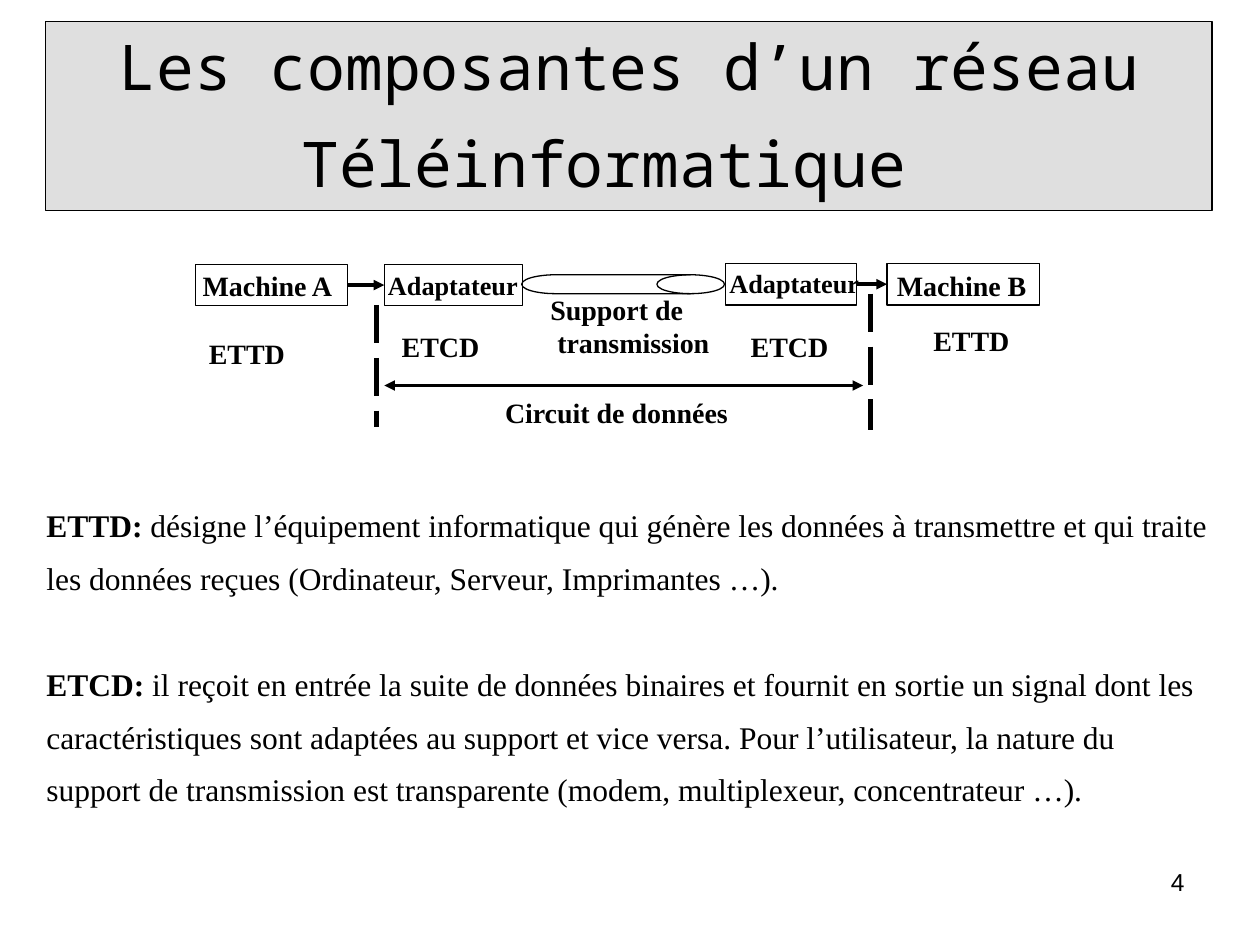
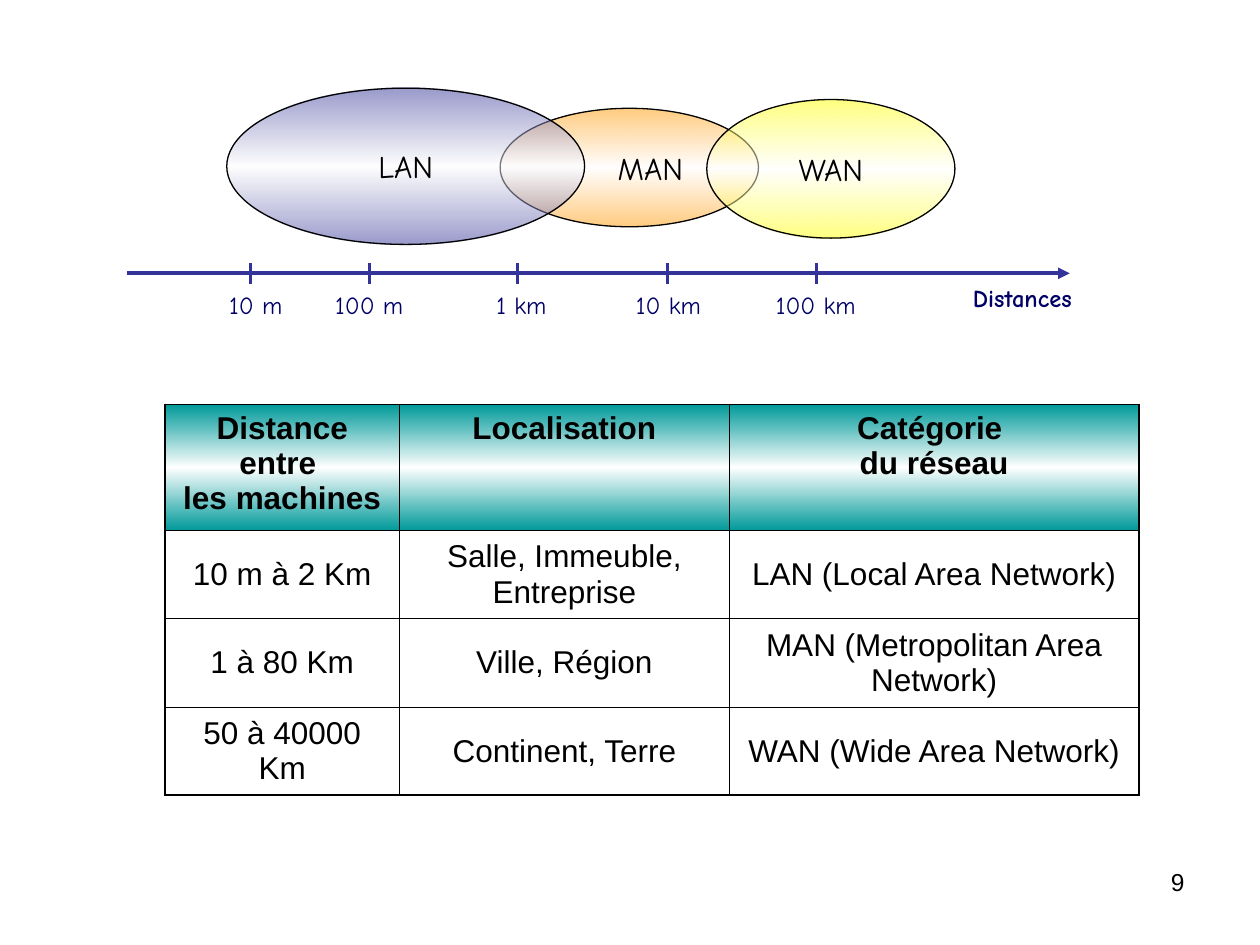
"""Build two slides on the components and the categories of computer networks."""
from dataclasses import dataclass

from pptx import Presentation
from pptx import util as u
from pptx.dml.color import RGBColor
from pptx.enum import dml, shapes, text
from pptx.oxml import parse_xml
from pptx.oxml.ns import nsdecls, qn

Pt = u.Pt
COLORS = {
    "ink": "000000", "paper": "FFFFFF", "banner": "808080", "header": "009999",
    "lan": "333399", "man": "FF9900", "wan": "FFFF00",
    "axis": "333399", "distance": "000066",
}
SANS, SERIF, MONO, COMIC = "Arial", "Times New Roman", "Noto Sans Mono", "Comic Neue"
LEFT, CENTER, RIGHT = text.PP_ALIGN.LEFT, text.PP_ALIGN.CENTER, text.PP_ALIGN.RIGHT


@dataclass(frozen=True)
class Box:
    left: float
    top: float
    width: float
    height: float

    def points(self) -> list:
        return [Pt(value) for value in (self.left, self.top, self.width, self.height)]


@dataclass(frozen=True)
class Style:
    font: str
    size: float
    bold: bool = False
    color: str = "ink"
    align: text.PP_ALIGN = LEFT


@dataclass(frozen=True)
class Label:
    words: str
    box: Box
    style: Style


@dataclass(frozen=True)
class Line:
    start: tuple
    end: tuple
    width: float
    color: str = "ink"
    dashed: bool = False
    head: bool = False
    tail: bool = False


@dataclass(frozen=True)
class Network:
    name: str
    box: Box
    color: str
    text_shift: float = 0


@dataclass(frozen=True)
class Tick:
    distance: str
    x: float
    label_center: float


NUMBER = Style(SANS, 14, align=RIGHT)
TITLE = Style(MONO, 36, align=CENTER)
BODY = Style(SERIF, 18)
DIAGRAM = Style(SERIF, 16, bold=True)
ADAPTER = Style(SERIF, 15, bold=True)
NETWORK = Style(COMIC, 18, align=CENTER)
DISTANCE = Style(COMIC, 14, color="distance", align=CENTER)
AXIS_NAME = Style(COMIC, 14, bold=True, color="distance", align=CENTER)
CELL = Style(SANS, 18, align=CENTER)
HEADER = Style(SANS, 18, bold=True, align=CENTER)

DIAGRAM_LABELS = [
    Label("Machine A", Box(108.7, 149.8, 93, 26.6), DIAGRAM),
    Label("Adaptateur", Box(214.6, 150.5, 93, 25.2), ADAPTER),
    Label("Adaptateur", Box(409.7, 149, 93, 25.2), ADAPTER),
    Label("Machine B", Box(505.4, 149.8, 93, 26.6), DIAGRAM),
    Label("ETTD", Box(112.3, 188.6, 64, 26.6), DIAGRAM),
    Label("ETCD", Box(222.5, 185, 64, 26.6), DIAGRAM),
    Label("ETCD", Box(421.9, 185, 64, 26.6), DIAGRAM),
    Label("ETTD", Box(526.3, 181.4, 64, 26.6), DIAGRAM),
    Label("Circuit de données", Box(281.5, 222.5, 146, 26.6), DIAGRAM),
]
SUPPORT = Label("Support de\ntransmission", Box(307.4, 163.4, 110, 46.1), DIAGRAM)
MACHINE_A, ADAPTER_A = Box(111.6, 151, 87.1, 23.8), Box(219.6, 151, 79.2, 23.8)
ADAPTER_B, MACHINE_B = Box(414.7, 150.5, 74.9, 23.8), Box(506.9, 150.5, 87.1, 23.8)
CIRCUIT_LINES = [
    Line((215.3, 174.2), (215.3, 244.1), 2.75, dashed=True),
    Line((497.5, 167.8), (497.5, 245.5), 2.75, dashed=True),
    Line((219.6, 220.3), (493.2, 220.3), 2, head=True, tail=True),
]
DEFINITIONS = [
    ("ETTD:", " désigne l’équipement informatique qui génère les données à transmettre "
     "et qui traite les données reçues (Ordinateur, Serveur, Imprimantes …)."),
    ("ETCD:", " il reçoit en entrée la suite de données binaires et fournit en sortie un "
     "signal dont les caractéristiques sont adaptées au support et vice versa. Pour "
     "l’utilisateur, la nature du support de transmission est transparente (modem, "
     "multiplexeur, concentrateur …)."),
]
NETWORKS = [
    Network("MAN", Box(285.8, 61.9, 147.6, 67.7), "man", 24),
    Network("LAN", Box(129.6, 50.4, 204.5, 89.3), "lan"),
    Network("WAN", Box(403.9, 56.9, 141.8, 79.2), "wan"),
]
TICKS = [
    Tick("10 m", 143.3, 146.2), Tick("100 m", 211, 211), Tick("1 km", 295.9, 298),
    Tick("10 km", 381.6, 382), Tick("100 km", 466.6, 466.2),
]
AXIS_Y = 156.2
COLUMN_WIDTHS = [133.9, 188.6, 234]
ROW_HEIGHTS = [72, 50.4, 50.4, 50.4]
CATEGORIES = [
    ["Distance entre \vles machines", "Localisation", "Catégorie \vdu réseau"],
    ["10 m à 2 Km", "Salle, Immeuble, Entreprise", "LAN (Local Area Network)"],
    ["1 à 80 Km", "Ville, Région", "MAN (Metropolitan Area Network)"],
    ["50 à 40000 Km", "Continent, Terre", "WAN (Wide Area Network)"],
]


def color_of(name: str) -> RGBColor:
    return RGBColor.from_string(COLORS[name])


def format_text(frame, style: Style) -> None:
    for paragraph in frame.paragraphs:
        paragraph.alignment = style.align
        for run in paragraph.runs:
            run.font.name = style.font
            run.font.size = Pt(style.size)
            run.font.bold = style.bold
            run.font.color.rgb = color_of(style.color)


def add_label(parent, label: Label, wrap: bool = False):
    frame = parent.add_textbox(*label.box.points()).text_frame
    frame.word_wrap = wrap
    frame.text = label.words
    format_text(frame, label.style)
    return frame


def add_outline(parent, kind: shapes.MSO_SHAPE, box: Box):
    shape = parent.add_shape(kind, *box.points())
    shape.shadow.inherit = False
    shape.fill.background()
    shape.line.color.rgb = color_of("ink")
    shape.line.width = Pt(0.75)
    return shape


def add_line(parent, line: Line):
    ends = [Pt(value) for value in (*line.start, *line.end)]
    connector = parent.add_connector(shapes.MSO_CONNECTOR.STRAIGHT, *ends)
    connector.line.color.rgb = color_of(line.color)
    connector.line.width = Pt(line.width)
    if line.dashed:
        connector.line.dash_style = dml.MSO_LINE.LONG_DASH
    properties = connector.line._get_or_add_ln()
    for tag, wanted in (("headEnd", line.head), ("tailEnd", line.tail)):
        if wanted:
            properties.append(parse_xml(f'<a:{tag} {nsdecls("a")} type="triangle"/>'))
    connector._element.spPr.append(parse_xml(f'<a:effectLst {nsdecls("a")}/>'))
    return connector


def add_arrow(parent, source, target) -> None:
    arrow = add_line(parent, Line((0, 0), (0, 0), 2, tail=True))
    arrow.begin_connect(source, 3)
    arrow.end_connect(target, 1)


def fill_gradient(fill, properties, color: str, opacity: int = 100) -> None:
    fill.gradient()
    fill.gradient_angle = 270
    stops = "".join(
        f'<a:gs pos="{position * 1000}"><a:srgbClr val="{COLORS[name]}">'
        f'<a:alpha val="{opacity * 1000}"/></a:srgbClr></a:gs>'
        for position, name in ((0, color), (50, "paper"), (100, color))
    )
    gradient = properties.find(qn("a:gradFill"))
    gradient.replace(gradient.find(qn("a:gsLst")),
                     parse_xml(f'<a:gsLst {nsdecls("a")}>{stops}</a:gsLst>'))


def add_slide(presentation, number: str):
    slide = presentation.slides.add_slide(presentation.slide_layouts[6])
    add_label(slide.shapes, Label(number, Box(516.2, 491.8, 167.8, 37.4), NUMBER), wrap=True)
    return slide


def add_title(slide, words: str) -> None:
    banner = add_outline(slide.shapes, shapes.MSO_SHAPE.RECTANGLE, Box(26, 12.2, 666.7, 108))
    banner.fill.solid()
    banner.fill.fore_color.rgb = color_of("banner")
    tint = banner._element.spPr.find(qn("a:solidFill"))[0]
    tint.append(parse_xml(f'<a:alpha {nsdecls("a")} val="25000"/>'))
    frame = banner.text_frame
    frame.vertical_anchor = text.MSO_ANCHOR.TOP
    frame.word_wrap = True
    frame.text = words
    frame.paragraphs[0].add_run().text = " "
    format_text(frame, TITLE)
    frame.paragraphs[0].runs[1].font.size = Pt(48)


def add_circuit(slide) -> None:
    parent = slide.shapes.add_group_shape().shapes
    for label in DIAGRAM_LABELS:
        add_label(parent, label)
    second_line = add_label(parent, SUPPORT).paragraphs[1]
    second_line._p.get_or_add_pPr().set("marL", str(Pt(4)))
    machine_a, adapter_a, adapter_b, machine_b = [
        add_outline(parent, shapes.MSO_SHAPE.RECTANGLE, box)
        for box in (MACHINE_A, ADAPTER_A, ADAPTER_B, MACHINE_B)
    ]
    add_arrow(parent, machine_a, adapter_a)
    add_arrow(parent, adapter_b, machine_b)
    add_outline(parent, shapes.MSO_SHAPE.FLOWCHART_DIRECT_ACCESS_STORAGE,
                Box(298.1, 157, 115.9, 10.8))
    for line in CIRCUIT_LINES:
        add_line(parent, line)


def add_definitions(slide) -> None:
    frame = slide.shapes.add_textbox(*Box(19.4, 277.2, 680.4, 188.6).points()).text_frame
    frame.word_wrap = True
    for index, (term, meaning) in enumerate(DEFINITIONS):
        paragraph = frame.add_paragraph() if index else frame.paragraphs[0]
        paragraph.line_spacing = 1.4
        if index:
            paragraph.space_before = Pt(30)
        for words in (term, meaning):
            paragraph.add_run().text = words
    format_text(frame, BODY)
    for paragraph in frame.paragraphs:
        paragraph.runs[0].font.bold = True


def add_network(slide, network: Network) -> None:
    ellipse = add_outline(slide.shapes, shapes.MSO_SHAPE.OVAL, network.box)
    fill_gradient(ellipse.fill, ellipse._element.spPr, network.color, 50)
    frame = ellipse.text_frame
    frame.word_wrap = False
    frame.margin_left = Pt(7.2 + network.text_shift)
    frame.text = network.name
    format_text(frame, NETWORK)


def add_scale(slide) -> None:
    add_line(slide.shapes, Line((72.7, AXIS_Y), (611.3, AXIS_Y), 2.25, "axis", tail=True))
    for tick in TICKS:
        add_line(slide.shapes, Line((tick.x, AXIS_Y - 5.8), (tick.x, AXIS_Y + 5.8), 1.5, "axis"))
        box = Box(tick.label_center - 30, 162, 60, 24.5)
        add_label(slide.shapes, Label(tick.distance, box, DISTANCE))
    add_label(slide.shapes, Label("Distances", Box(548.6, 158.4, 71.3, 24.5), AXIS_NAME))


def set_borders(cell, row: int, column: int) -> None:
    edges = {"lnL": column == 0, "lnR": column == len(COLUMN_WIDTHS) - 1,
             "lnT": row == 0, "lnB": row == len(ROW_HEIGHTS) - 1}
    for index, (tag, outer) in enumerate(edges.items()):
        width = Pt(1.08 if outer else 0.45)
        cell._tc.get_or_add_tcPr().insert(index, parse_xml(
            f'<a:{tag} {nsdecls("a")} w="{width}"><a:solidFill>'
            f'<a:srgbClr val="{COLORS["ink"]}"/></a:solidFill></a:{tag}>'))


def add_categories(slide) -> None:
    box = Box(94.3, 231.1, sum(COLUMN_WIDTHS), sum(ROW_HEIGHTS))
    table = slide.shapes.add_table(len(ROW_HEIGHTS), len(COLUMN_WIDTHS), *box.points()).table
    table.first_row = table.horz_banding = False
    for column, width in zip(table.columns, COLUMN_WIDTHS):
        column.width = Pt(width)
    for row, height in enumerate(ROW_HEIGHTS):
        table.rows[row].height = Pt(height)
        for column, words in enumerate(CATEGORIES[row]):
            cell = table.cell(row, column)
            cell.text_frame.text = words
            format_text(cell.text_frame, CELL if row else HEADER)
            if row:
                cell.vertical_anchor = text.MSO_ANCHOR.MIDDLE
                cell.fill.background()
            else:
                fill_gradient(cell.fill, cell._tc.get_or_add_tcPr(), "header")
            set_borders(cell, row, column)


def main() -> None:
    presentation = Presentation()
    presentation.slide_width, presentation.slide_height = Pt(720), Pt(540)
    components = add_slide(presentation, "4")
    add_title(components, "Les composantes d’un réseau Téléinformatique")
    add_definitions(components)
    add_circuit(components)
    categories = add_slide(presentation, "9")
    for network in NETWORKS:
        add_network(categories, network)
    add_scale(categories)
    add_categories(categories)
    presentation.save("out.pptx")


if __name__ == "__main__":
    main()
